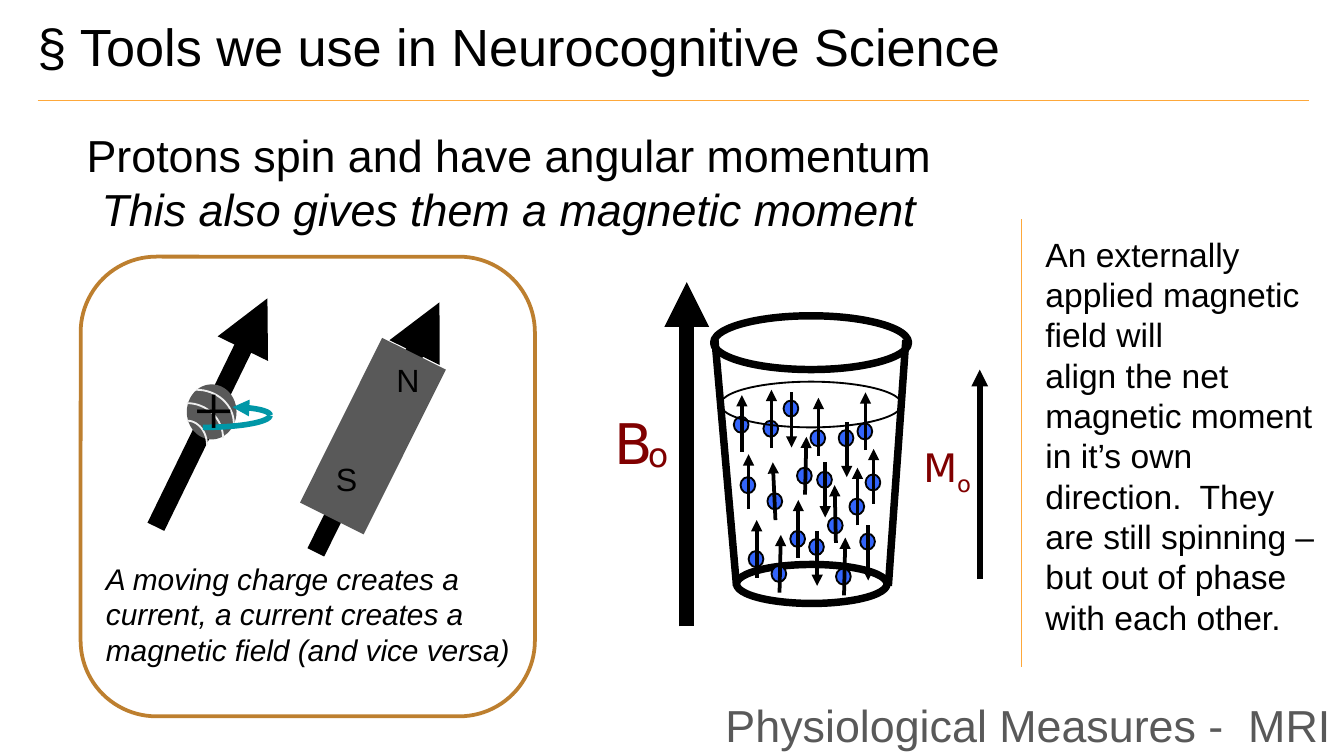
"""Builds the slide on proton spin and the magnetic moment in MRI."""
from dataclasses import dataclass
from math import cos, pi, sin
from typing import Collection, Optional

from lxml.etree import SubElement
from pptx import Presentation
from pptx.dml.color import RGBColor
from pptx.enum.shapes import MSO_CONNECTOR, MSO_SHAPE
from pptx.enum.text import MSO_AUTO_SIZE, PP_ALIGN
from pptx.oxml.ns import qn
from pptx.util import Emu, Pt

PX = 9144
SLIDE_WIDTH = 1000 * PX
SLIDE_HEIGHT = SLIDE_WIDTH * 9 // 16
BLACK, GREY, ORANGE, TEAL = "000000", "595959", "FEA83A", "0097A7"
MAROON, PALE, BLUE, BRONZE = "800000", "EEEEEE", "3365FB", "BD7F2F"
SYMBOL_FONT = "DejaVu Sans"
SYMBOL_INSETS, LABEL_INSETS, PLACE_INSETS = (7, 4), (5, 2), (10, 10)


@dataclass
class Proton:
    left: int
    top: int
    tail_y: int
    tip_y: int
    lean: int = 0


@dataclass
class QuarterArc:
    center_x: int
    center_y: int
    radius_x: int
    radius_y: int
    color: str = PALE
    weight: float = 1
    arrow: bool = False


PROTONS = [
    Proton(638, 315, 335, 292), Proton(546, 310, 336, 294),
    Proton(593, 348, 368, 325, 1), Proton(551, 355, 379, 338),
    Proton(602, 401, 395, 436), Proton(608, 351, 344, 385),
    Proton(557, 410, 430, 387), Proton(640, 397, 391, 432),
    Proton(624, 320, 314, 355), Proton(603, 320, 339, 296),
    Proton(644, 353, 375, 334), Proton(588, 395, 415, 372),
    Proton(632, 371, 391, 348), Proton(574, 421, 441, 398, 1),
    Proton(622, 423, 443, 400, 1), Proton(583, 298, 292, 333),
    Proton(568, 313, 333, 290), Proton(571, 367, 387, 344, -2),
    Proton(616, 385, 404, 361, -1),
]
SPIN_ARCS = [
    QuarterArc(146, 315, 28, 25),
    QuarterArc(139, 326, 27, 26),
    QuarterArc(139, 331, 15, 18),
    QuarterArc(173, 309, 28, 6, TEAL, 3, True),
    QuarterArc(151, 309, 50, -9, TEAL, 3),
]

deck = Presentation()
deck.slide_width, deck.slide_height = Emu(SLIDE_WIDTH), Emu(SLIDE_HEIGHT)
shapes = deck.slides.add_slide(deck.slide_layouts[6]).shapes


def rgb(color: str) -> RGBColor:
    return RGBColor.from_string(color)


def emu(*lengths: float) -> list[Emu]:
    return [Emu(round(length * PX)) for length in lengths]


def stroke(shape, color: str, weight: float, arrow_end: str = "") -> None:
    shape.line.color.rgb = rgb(color)
    shape.line.width = Pt(weight)
    if arrow_end:
        outline = shape.element.spPr.find(qn("a:ln"))
        SubElement(outline, qn(f"a:{arrow_end}"), type="triangle")


def draw_shape(kind: MSO_SHAPE, box: tuple, fill: Optional[str] = None,
               line: Optional[str] = None, weight: float = 1, rotation: float = 0) -> None:
    shape = shapes.add_shape(kind, *emu(*box))
    shape.shadow.inherit = False
    shape.rotation = rotation
    if fill:
        shape.fill.solid()
        shape.fill.fore_color.rgb = rgb(fill)
    else:
        shape.fill.background()
    if line:
        stroke(shape, line, weight)
    else:
        shape.line.fill.background()


def draw_line(start: tuple, end: tuple, color: str = BLACK,
              weight: float = 1, arrow: bool = False) -> None:
    connector = shapes.add_connector(MSO_CONNECTOR.STRAIGHT, *emu(*start, *end))
    stroke(connector, color, weight, "tailEnd" if arrow else "")
    SubElement(connector.element.spPr, qn("a:effectLst"))


def draw_arc(arc: QuarterArc) -> None:
    angles = [step * pi / 32 for step in range(17)]
    first, *rest = [emu(arc.center_x + arc.radius_x * sin(angle),
                        arc.center_y - arc.radius_y * cos(angle)) for angle in angles]
    builder = shapes.build_freeform(*first, scale=1.0)
    builder.add_line_segments(rest, close=False)
    curve = builder.convert_to_shape()
    curve.shadow.inherit = False
    curve.fill.background()
    stroke(curve, arc.color, arc.weight, "headEnd" if arc.arrow else "")


def draw_proton(proton: Proton) -> None:
    draw_shape(MSO_SHAPE.OVAL, (proton.left, proton.top, 11, 12), BLUE, BLACK)
    x = proton.left + 6
    draw_line((x, proton.tail_y), (x + proton.lean, proton.tip_y), weight=2, arrow=True)


def write(text: str, box: tuple, size: float, color: str = BLACK, font: str = "Arial",
          italic: Collection[int] = (), insets: tuple = (10, 5), wrap: bool = True,
          grow: bool = True, centered: bool = False, subscript: str = "",
          spacing: Optional[float] = None) -> None:
    frame = shapes.add_textbox(*emu(*box)).text_frame
    frame.word_wrap = wrap
    frame.auto_size = MSO_AUTO_SIZE.SHAPE_TO_FIT_TEXT if grow else MSO_AUTO_SIZE.NONE
    frame.margin_left = frame.margin_right = Emu(insets[0] * PX)
    frame.margin_top = frame.margin_bottom = Emu(insets[1] * PX)
    frame.text = text
    if subscript:
        lowered = frame.paragraphs[-1].add_run()
        lowered.text = subscript
        lowered.font._element.set("baseline", "-25000")
    for index, paragraph in enumerate(frame.paragraphs):
        paragraph.alignment = PP_ALIGN.CENTER if centered else PP_ALIGN.LEFT
        paragraph.line_spacing = spacing
        for run in paragraph.runs:
            run.font.name, run.font.size = font, Pt(size)
            run.font.color.rgb = rgb(color)
            run.font.italic = index in italic


def draw_beaker() -> None:
    draw_shape(MSO_SHAPE.OVAL, (531, 235, 145, 40), line=BLACK, weight=4)
    draw_shape(MSO_SHAPE.OVAL, (548, 420, 112, 29), line=BLACK, weight=4)
    draw_line((548, 436), (532, 253), weight=4)
    draw_line((661, 436), (674, 253), weight=4)
    for proton in PROTONS:
        draw_proton(proton)
    draw_shape(MSO_SHAPE.OVAL, (536, 284, 135, 34), line=BLACK)


def draw_fields() -> None:
    symbol = dict(color=MAROON, font=SYMBOL_FONT, insets=SYMBOL_INSETS, wrap=False)
    draw_line((511, 466), (511, 210), weight=8, arrow=True)
    write("B", (450, 300, 44, 58), 30, **symbol)
    write("o", (475, 319, 30, 38), 18, **symbol)
    draw_line((729, 431), (729, 275), weight=3, arrow=True)
    write("M", (680, 326, 52, 43), 21, subscript="o", **symbol)


def draw_spinning_charge() -> None:
    draw_line((116, 392), (199, 222), weight=10, arrow=True)
    draw_shape(MSO_SHAPE.OVAL, (139, 286, 37, 41), GREY)
    for arc in SPIN_ARCS:
        draw_arc(arc)
    write("+", (139, 269, 40, 69), 38.2, font="Times New Roman",
          insets=LABEL_INSETS, wrap=False)


def draw_magnet() -> None:
    draw_line((235, 411), (327, 225), weight=10, arrow=True)
    draw_shape(MSO_SHAPE.RECTANGLE, (251, 256, 53, 137), GREY, rotation=26.5)
    write("N", (290, 266, 27, 34), 17.2, insets=LABEL_INSETS, wrap=False)
    write("S", (245, 340, 26, 34), 17.2, insets=LABEL_INSETS, wrap=False)


def main() -> None:
    draw_beaker()
    draw_fields()
    write("An externally applied magnetic field will\nalign the net magnetic moment in it’s own "
          "direction.  They are still spinning – but out of phase with each other.",
          (768, 169, 225, 313), 18)
    draw_line((28, 75), (974, 75), ORANGE, 0.75)
    write("Physiological Measures -  MRI", (530, 512, 536, 54), 24, GREY,
          insets=PLACE_INSETS, grow=False, spacing=0.95)
    write("Protons spin and have angular momentum\nThis also gives them a magnetic moment",
          (51, 90, 655, 91), 24, italic={1}, wrap=False, centered=True)
    draw_spinning_charge()
    draw_magnet()
    write("A moving charge creates a current, a current creates a magnetic field "
          "(and vice versa)", (69, 412, 344, 91), 16, italic={0})
    draw_shape(MSO_SHAPE.ROUNDED_RECTANGLE, (60, 191, 338, 342), line=BRONZE, weight=2)
    draw_line((760, 163), (760, 496), ORANGE, 0.75)
    write("§ Tools we use in Neurocognitive Science", (18, 1, 882, 94), 28,
          insets=PLACE_INSETS, grow=False)
    deck.save("out.pptx")


if __name__ == "__main__":
    main()
